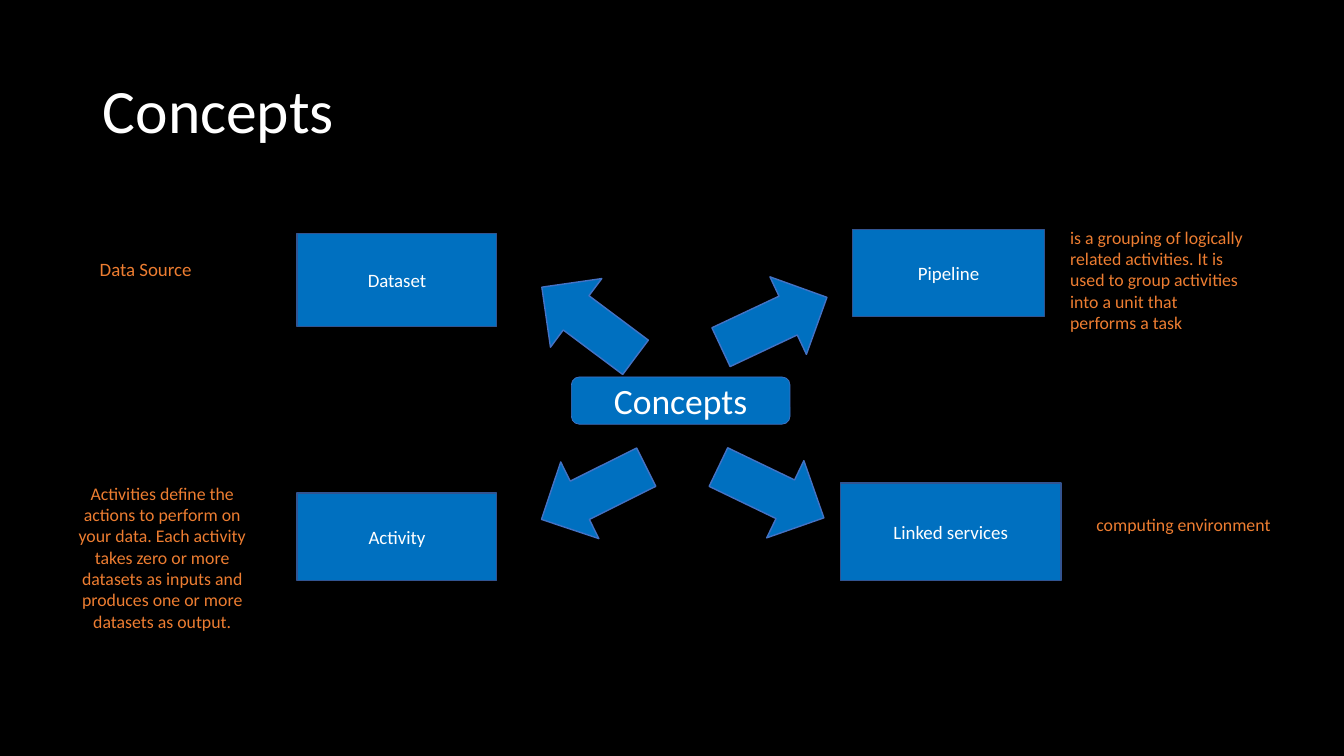
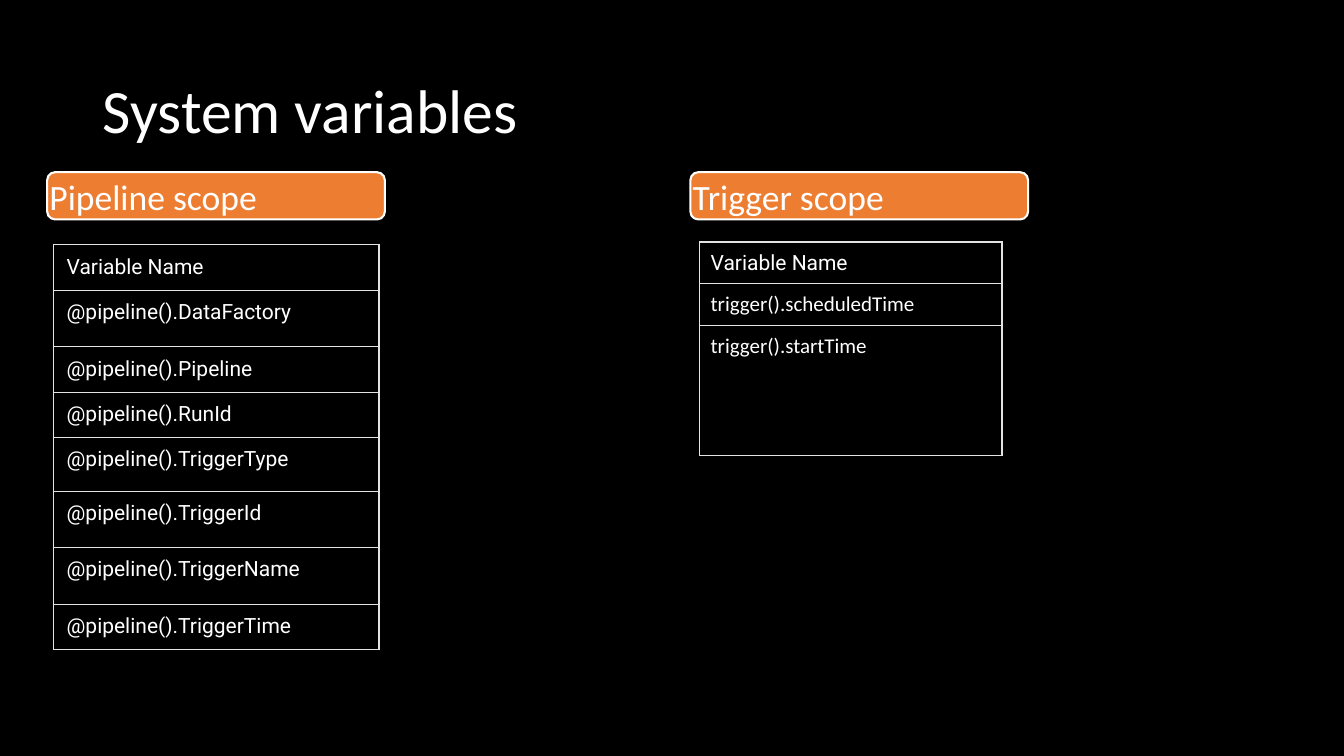
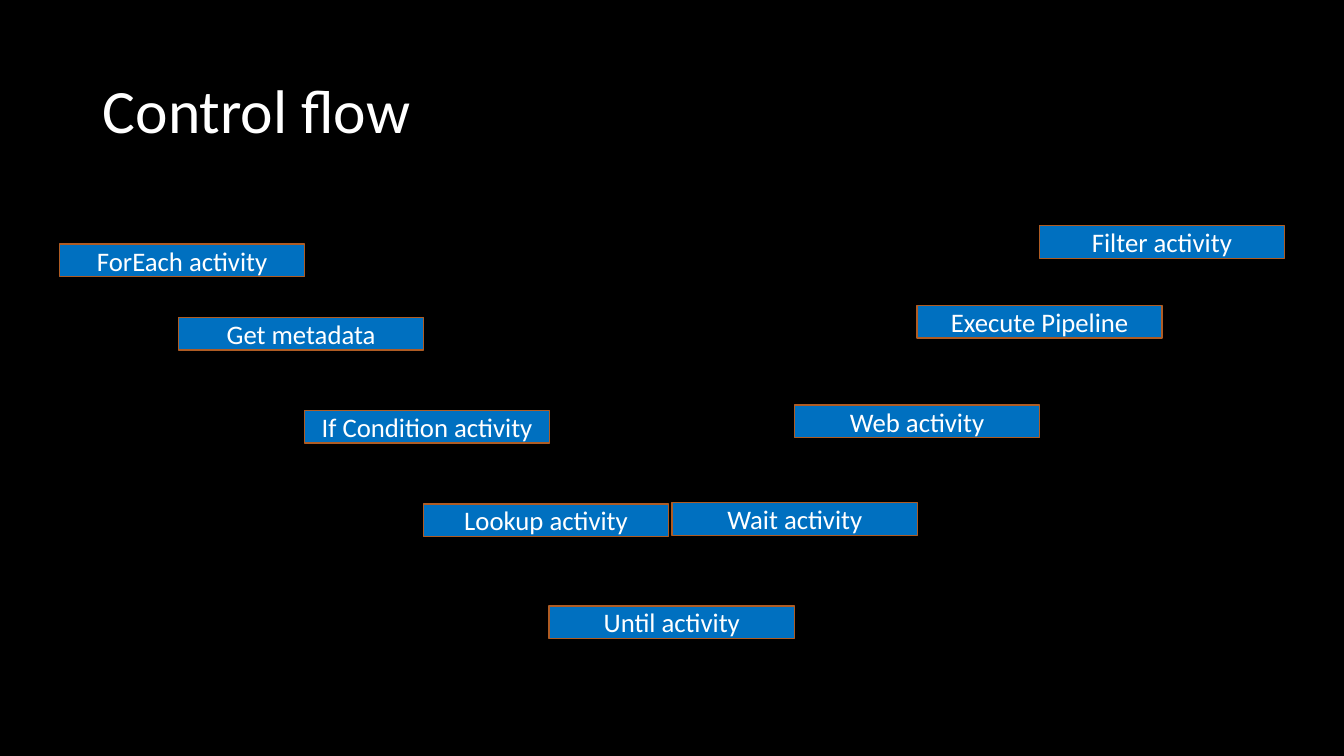
from dataclasses import dataclass

from pptx import Presentation
from pptx.dml.color import RGBColor
from pptx.enum import shapes, text
from pptx.oxml import parse_xml
from pptx.oxml.ns import nsdecls
from pptx.util import Cm, Pt


@dataclass(frozen=True)
class Theme:
    background: str = "000000"
    white: str = "FFFFFF"
    blue: str = "0070C0"
    orange: str = "ED7D31"
    card_line: str = "325491"
    arrow_line: str = "4472C4"
    activity_line: str = "AF5C24"
    grid: str = "E3E3E3"
    font: str = "Calibri"
    code_font: str = "Roboto"
    title_size: float = 44
    heading_size: float = 25.4
    activity_size: float = 19.1
    table_size: float = 15
    card_size: float = 13.5
    note_size: float = 12.7


@dataclass(frozen=True)
class Box:
    """A rectangle in centimetres."""
    left: float
    top: float
    width: float
    height: float

    def inner(self, left, top, width, height):
        return Box(self.left + left, self.top + top, width, height)

    def lengths(self):
        return Cm(self.left), Cm(self.top), Cm(self.width), Cm(self.height)


THEME = Theme()
PAGE = Box(0, 0, 33.87, 19.05)
SHAPE = shapes.MSO_SHAPE
LEFT, CENTER = text.PP_ALIGN.LEFT, text.PP_ALIGN.CENTER


def rgb(value):
    return RGBColor.from_string(value)


# Basic parts
def style_paragraph(paragraph, size, color=THEME.white, align=LEFT, font=THEME.font):
    paragraph.alignment = align
    paragraph.font.name = font
    paragraph.font.size = Pt(size)
    paragraph.font.color.rgb = rgb(color)


def write(frame, words, size, color=THEME.white, align=LEFT, inset=None):
    frame.word_wrap = True
    frame.vertical_anchor = text.MSO_ANCHOR.MIDDLE
    if inset is not None:
        frame.margin_left = frame.margin_right = Cm(inset)
        frame.margin_top = frame.margin_bottom = Cm(inset)
    paragraph = frame.paragraphs[0]
    paragraph.text = words
    style_paragraph(paragraph, size, color, align)
    return paragraph


def add_text(slide, box, words, size, color, align=LEFT):
    shape = slide.shapes.add_textbox(*box.lengths())
    return write(shape.text_frame, words, size, color, align)


def add_block(slide, kind, box, fill, line, line_width=1):
    shape = slide.shapes.add_shape(kind, *box.lengths())
    shape.shadow.inherit = False
    shape.fill.solid()
    shape.fill.fore_color.rgb = rgb(fill)
    shape.line.color.rgb = rgb(line)
    shape.line.width = Pt(line_width)
    return shape


def add_titled_slide(presentation, title):
    slide = presentation.slides.add_slide(presentation.slide_layouts[6])
    box = PAGE.inner(2.34, 1.02, 29.21, 3.68)
    add_text(slide, box, title, THEME.title_size, THEME.white).line_spacing = 0.9
    return slide


# Concepts diagram
def add_concepts(slide, region):
    cards = [
        ("Dataset", 5.99, 0.19, 5.03, 2.34),
        ("Pipeline", 19.99, 0.09, 4.83, 2.18),
        ("Activity", 5.99, 6.72, 5.03, 2.21),
        ("Linked services", 19.68, 6.47, 5.56, 2.46),
    ]
    for words, *place in cards:
        card = add_block(slide, SHAPE.RECTANGLE, region.inner(*place),
                         THEME.blue, THEME.card_line)
        write(card.text_frame, words, THEME.card_size, align=CENTER)

    notes = [
        ("Data Source", THEME.card_size, CENTER, 0.05, 0.07, 4.24, 2.03),
        ("is a grouping of logically related activities. It is used to group "
         "activities into a unit that performs a task",
         THEME.note_size, LEFT, 25.22, 0.04, 4.88, 2.62),
        ("Activities define the actions to perform on your data. Each activity "
         "takes zero or more datasets as inputs and produces one or more "
         "datasets as output.", THEME.note_size, CENTER, 0, 6.7, 5.18, 3.28),
        ("computing environment", THEME.note_size, LEFT, 25.88, 6.44, 5.1, 2.16),
    ]
    for words, size, align, *place in notes:
        add_text(slide, region.inner(*place), words, size, THEME.orange, align)

    hub = add_block(slide, SHAPE.ROUNDED_RECTANGLE,
                    region.inner(12.9, 3.8, 5.51, 1.19),
                    THEME.blue, THEME.arrow_line, 0.5)
    write(hub.text_frame, "Concepts", THEME.heading_size, align=CENTER, inset=0)

    arrows = [(11.86, 1.34, 216.8), (11.99, 5.65, 153.5),
              (16.46, 5.63, 25.7), (16.53, 1.34, 334.8)]
    for left, top, angle in arrows:
        arrow = add_block(slide, SHAPE.RIGHT_ARROW,
                          region.inner(left, top, 2.95, 2.16),
                          THEME.blue, THEME.arrow_line)
        arrow.rotation = angle


# Variable tables
def set_borders(cell, widths):
    properties = cell._tc.get_or_add_tcPr()
    for index, (side, width) in enumerate(widths.items()):
        properties.insert(index, parse_xml(
            f'<a:{side} {nsdecls("a")} w="{Pt(width)}"><a:solidFill>'
            f'<a:srgbClr val="{THEME.grid}"/></a:solidFill></a:{side}>'))


def add_variable_table(slide, box, rows, margins, rule, body_font):
    """Each row is (words, height); rule is the width of the inner lines."""
    table = slide.shapes.add_table(len(rows), 1, *box.lengths()).table
    table.first_row = table.horz_banding = False
    last = len(rows) - 1
    for index, (words, height) in enumerate(rows):
        table.rows[index].height = Cm(height)
        cell = table.cell(index, 0)
        cell.fill.background()
        cell.margin_left = cell.margin_right = Cm(margins[0])
        cell.margin_top = cell.margin_bottom = Cm(margins[1])
        header = index == 0
        cell.vertical_anchor = (text.MSO_ANCHOR.BOTTOM if header
                                else text.MSO_ANCHOR.TOP)
        paragraph = cell.text_frame.paragraphs[0]
        paragraph.text = words
        style_paragraph(paragraph, THEME.table_size,
                        font=THEME.code_font if header else body_font)
        set_borders(cell, {"lnL": 1, "lnR": 1, "lnT": 1 if header else rule,
                           "lnB": 1 if index == last else rule})


def add_scope(slide, region, heading, table_place, **table_options):
    bar = add_block(slide, SHAPE.ROUNDED_RECTANGLE, region.inner(0, 0, 8.51, 1.19),
                    THEME.orange, THEME.white, 1.5)
    write(bar.text_frame, heading, THEME.heading_size, inset=0)
    add_variable_table(slide, region.inner(*table_place), **table_options)


def add_system_variables(slide, region):
    add_scope(
        slide, region, "Pipeline scope", (0.16, 1.83, 8.2, 10.19),
        rows=[("Variable Name", 1.13),
              ("@pipeline().DataFactory", 1.43),
              ("@pipeline().Pipeline", 1.12),
              ("@pipeline().RunId", 1.12),
              ("@pipeline().TriggerType", 1.36),
              ("@pipeline().TriggerId", 1.43),
              ("@pipeline().TriggerName", 1.43),
              ("@pipeline().TriggerTime", 1.13)],
        margins=(0.33, 0.25), rule=0.38, body_font=THEME.code_font)
    add_scope(
        slide, region.inner(16.21, 0, 8.51, 7.2), "Trigger scope",
        (0.23, 1.76, 7.62, 5.38),
        rows=[("Variable Name", 1.04),
              ("trigger().scheduledTime", 1.06),
              ("trigger().startTime", 3.28)],
        margins=(0.28, 0.2), rule=0.75, body_font=THEME.font)


# Control flow activities
def add_control_flow(slide, region):
    activities = [
        ("ForEach activity", 0, 0.46),
        ("Get metadata", 3, 2.31),
        ("If Condition activity", 6.17, 4.65),
        ("Lookup activity", 9.17, 7.01),
        ("Until activity", 12.34, 9.58),
        ("Wait activity", 15.44, 6.98),
        ("Web activity", 18.52, 4.52),
        ("Execute Pipeline", 21.61, 2.01),
        ("Filter activity", 24.69, 0),
    ]
    for words, left, top in activities:
        bar = add_block(slide, SHAPE.RECTANGLE, region.inner(left, top, 6.18, 0.82),
                        THEME.blue, THEME.activity_line)
        write(bar.text_frame, words, THEME.activity_size, align=CENTER, inset=0)


def main():
    presentation = Presentation()
    presentation.slide_width, presentation.slide_height = PAGE.lengths()[2:]
    background = presentation.slide_master.background.fill
    background.solid()
    background.fore_color.rgb = rgb(THEME.background)

    pages = [
        ("Concepts", add_concepts, Box(1.5, 5.7, 31, 10)),
        ("System variables", add_system_variables, Box(1.19, 4.34, 24.72, 12)),
        ("Control flow", add_control_flow, Box(1.5, 5.69, 30.87, 10.4)),
    ]
    for title, add_content, region in pages:
        add_content(add_titled_slide(presentation, title), region)
    presentation.save("out.pptx")


if __name__ == "__main__":
    main()
